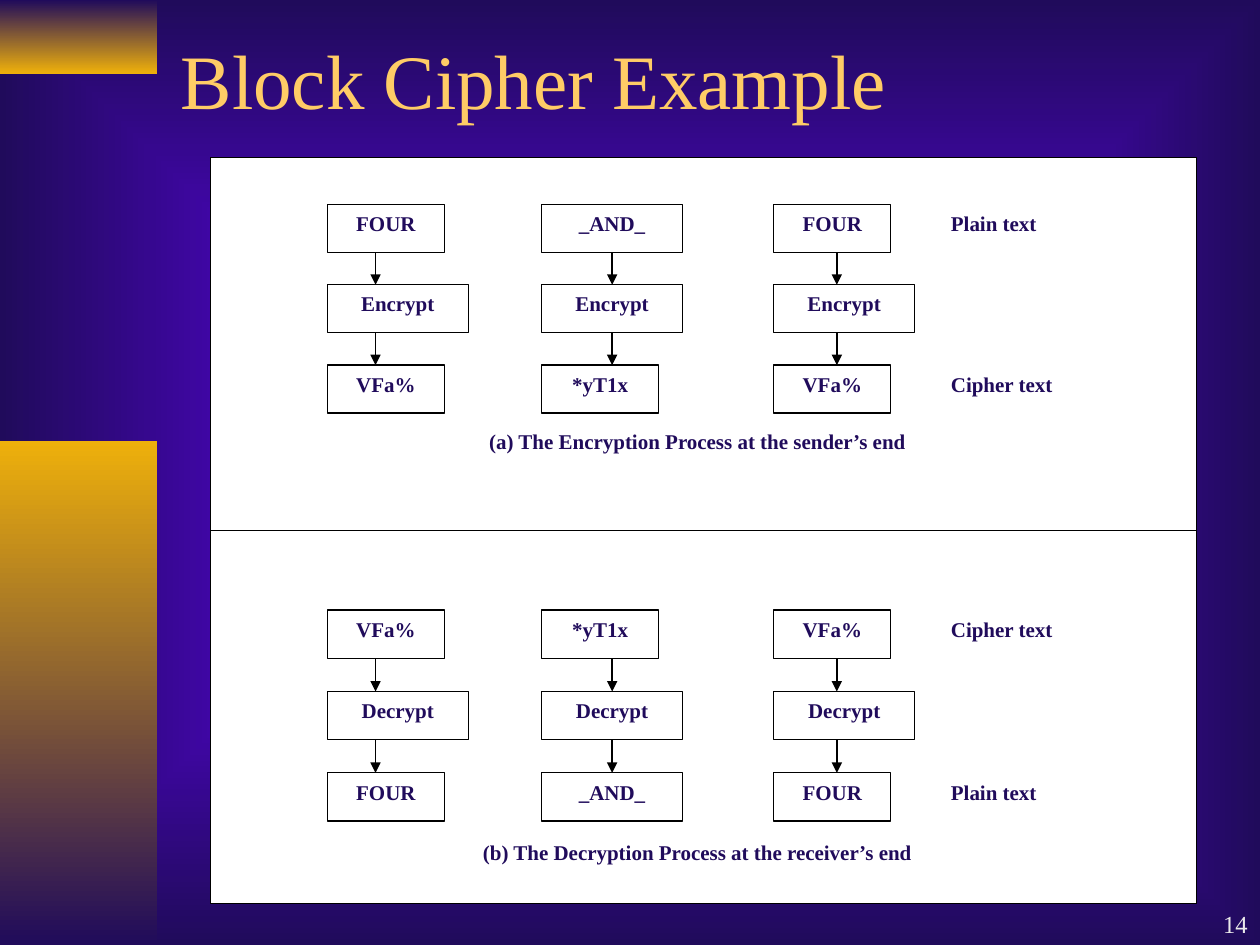
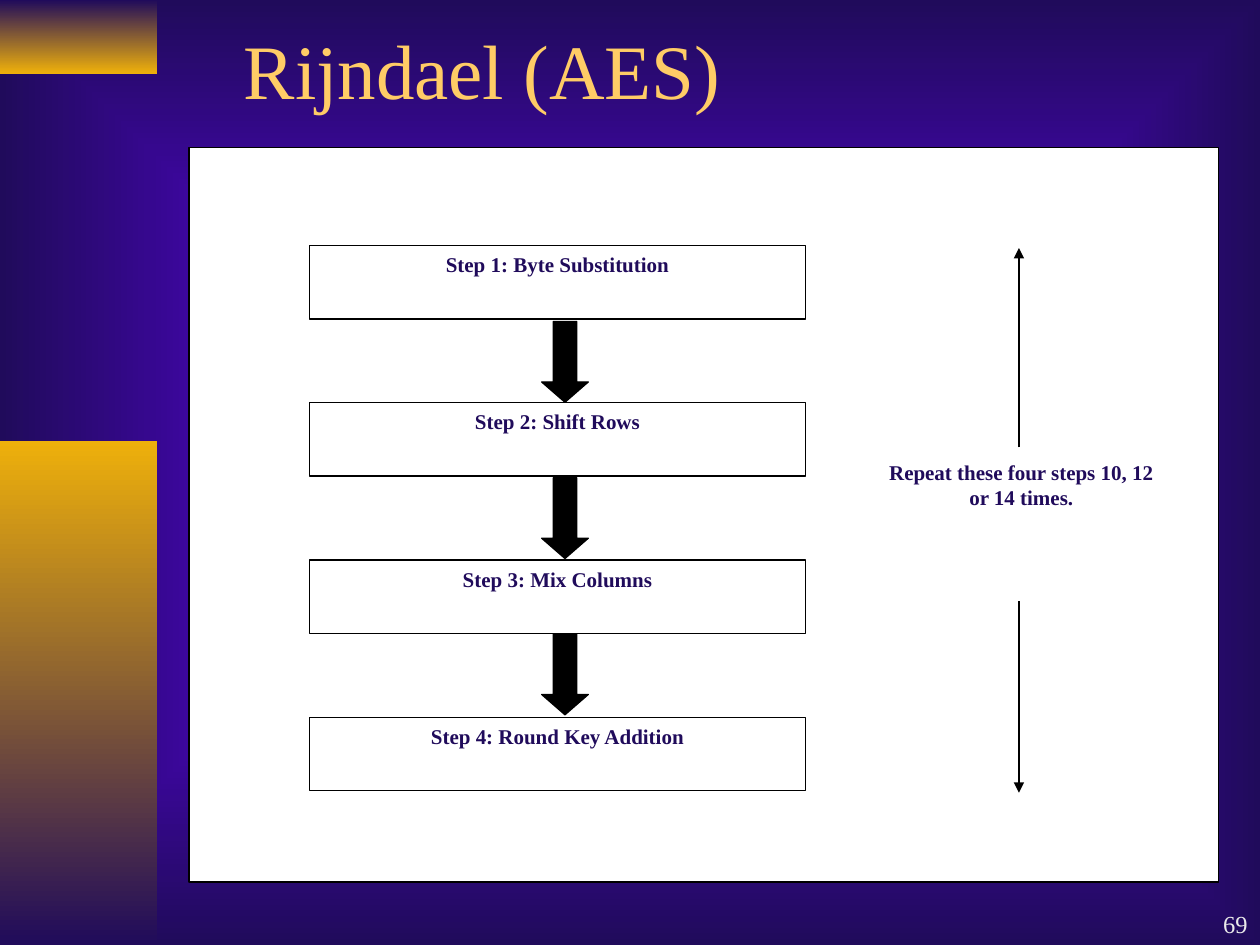
from lxml import etree
from pptx import Presentation
from pptx.dml.color import RGBColor
from pptx.enum.shapes import MSO_CONNECTOR, MSO_SHAPE
from pptx.enum.text import MSO_ANCHOR, MSO_AUTO_SIZE, PP_ALIGN
from pptx.oxml.ns import qn
from pptx.util import Cm, Pt

RECT, DOWN = MSO_SHAPE.RECTANGLE, MSO_SHAPE.DOWN_ARROW
STRAIGHT = MSO_CONNECTOR.STRAIGHT
LEFT, CENTER, RIGHT = PP_ALIGN.LEFT, PP_ALIGN.CENTER, PP_ALIGN.RIGHT
MIDDLE, BOTTOM = MSO_ANCHOR.MIDDLE, MSO_ANCHOR.BOTTOM
FIXED = MSO_AUTO_SIZE.NONE

FONT = "Times New Roman"
NAVY, VIOLET, GOLD = "200B5B", "6600FF", "EEB00B"
SAND, PALE, WHITE, BLACK = "FFCC66", "EAEAEA", "FFFFFF", "000000"

COLUMNS = (6.6, 10.92, 15.6)
ARROWS = (0.97, 1.42, 1.27)
BLOCK = 2.36
WIDTHS = {"_AND_": 2.84, "Encrypt": 2.84, "Decrypt": 2.84,
          "Plain text": 3.3, "Cipher text": 3.63}
PLAIN = ("FOUR", "_AND_", "FOUR")
CIPHER = ("VFa%", "*yT1x", "VFa%")
STEPS = ("Step 1: Byte Substitution", "Step 2: Shift Rows",
         "Step 3: Mix Columns", "Step 4: Round Key Addition")


def color(code):
    return RGBColor.from_string(code)


def blend(fill, first, last):
    fill.gradient()
    for stop, code in zip(fill.gradient_stops, (first, last)):
        stop.color.rgb = color(code)


def write(frame, text, size, code, align, bold=False):
    frame.text = text
    frame.word_wrap = True
    for para in frame.paragraphs:
        para.alignment = align
        for run in para.runs:
            font = run.font
            font.name, font.size, font.bold = FONT, Pt(size), bold
            font.color.rgb = color(code)


def outline(item):
    item.line.color.rgb = color(BLACK)
    item.line.width = Pt(0.75)


def box(slide, place, text="", align=CENTER, border=True, kind=RECT, fill=WHITE):
    shape = slide.shapes.add_shape(kind, *map(Cm, place))
    shape.shadow.inherit = False
    shape.fill.solid()
    shape.fill.fore_color.rgb = color(fill)
    if border:
        outline(shape)
    else:
        shape.line.fill.background()
    if text:
        shape.text_frame.vertical_anchor = MSO_ANCHOR.TOP
        write(shape.text_frame, text, 12, NAVY, align, True)
    return shape


def line(slide, start, end, arrow=True):
    item = slide.shapes.add_connector(STRAIGHT, *start, *end)
    outline(item)
    props = item.element.spPr
    if arrow:
        etree.SubElement(props.find(qn("a:ln")), qn("a:tailEnd"), type="triangle")
    etree.SubElement(props, qn("a:effectLst"))
    return item


def link(slide, upper, lower, x):
    item = line(slide, (x, upper.top + upper.height), (x, lower.top))
    for shape, join, side in ((upper, item.begin_connect, 2),
                              (lower, item.end_connect, 0)):
        if abs(shape.left + shape.width // 2 - x) < Cm(0.02):
            join(shape, side)


def backdrop(prs, slide):
    master = prs.slide_master
    back = master.background.fill
    blend(back, VIOLET, NAVY)
    grad = master.element.find(".//" + qn("a:gradFill"))
    grad.remove(grad.find(qn("a:lin")))
    route = etree.SubElement(grad, qn("a:path"), path="rect")
    etree.SubElement(route, qn("a:fillToRect"),
                     l="50000", t="50000", r="50000", b="50000")
    for top, height, first, last in ((0, 1.48, NAVY, GOLD),
                                     (8.89, 10.16, GOLD, NAVY)):
        band = box(slide, (0, top, 3.17, height), border=False)
        blend(band.fill, first, last)
        band.fill.gradient_angle = 270
        master.shapes.element.append(band.element)


def page(prs, title, place, number):
    slide = prs.slides.add_slide(prs.slide_layouts[5])
    head = slide.shapes.title
    head.left, head.top, head.width, head.height = map(Cm, place)
    frame = head.text_frame
    write(frame, title, 44, SAND, LEFT)
    frame.vertical_anchor, frame.auto_size = MIDDLE, FIXED
    foot = slide.shapes.add_textbox(Cm(20.12), Cm(17.78), Cm(5.28), Cm(1.27))
    write(foot.text_frame, number, 14, PALE, RIGHT)
    foot.text_frame.vertical_anchor = BOTTOM
    return slide


def flow(slide, top, step, rows, labels, caption, drop):
    for col, (left, shift) in enumerate(zip(COLUMNS, ARROWS)):
        stack = [box(slide, (left, top + i * step,
                             WIDTHS.get(row[col], BLOCK), 0.97), row[col])
                 for i, row in enumerate(rows)]
        for upper, lower in zip(stack, stack[1:]):
            link(slide, upper, lower, Cm(left + shift))
    for i, text in zip((0, 2), labels):
        box(slide, (18.92, top + i * step, WIDTHS[text], 0.97),
            text, LEFT, False)
    box(slide, (5.95, top + drop, 16.23, 1), caption, border=False)


def blocks(slide):
    panel = box(slide, (4.24, 3.18, 19.88, 15.03))
    flow(slide, 4.12, 1.62, (PLAIN, ("Encrypt",) * 3, CIPHER),
         ("Plain text", "Cipher text"),
         "(a) The Encryption Process at the sender’s end", 4.39)
    flow(slide, 12.3, 1.64, (CIPHER, ("Decrypt",) * 3, PLAIN),
         ("Cipher text", "Plain text"),
         "(b) The Decryption Process at the receiver’s end", 4.49)
    split = line(slide, (0, 0), (0, 0), False)
    split.begin_connect(panel, 1)
    split.end_connect(panel, 3)


def rounds(slide):
    box(slide, (3.81, 2.97, 20.75, 14.81))
    for i, text in enumerate(STEPS):
        box(slide, (6.24, 4.95 + 3.17 * i, 10, 1.48), text)
    for i in range(len(STEPS) - 1):
        arrow = box(slide, (10.92, 6.48 + 3.15 * i, 0.94, 1.63),
                    kind=DOWN, fill=BLACK)
        arrow.adjustments[1] = 0.435
    box(slide, (17.63, 9.14, 5.92, 3.05),
        "Repeat these four steps 10, 12 or 14 times.", border=False)
    for start, end in ((9.02, 5), (12.12, 15.98)):
        line(slide, (Cm(20.54), Cm(start)), (Cm(20.54), Cm(end)))


def main():
    prs = Presentation()
    prs.slide_width, prs.slide_height = Cm(25.4), Cm(19.05)
    first = page(prs, "Block Cipher Example", (3.39, 0.85, 21.59, 1.48), "14")
    backdrop(prs, first)
    blocks(first)
    second = page(prs, "Rijndael (AES)", (4.66, 0, 18.84, 2.75), "69")
    rounds(second)
    prs.save("out.pptx")


if __name__ == "__main__":
    main()
